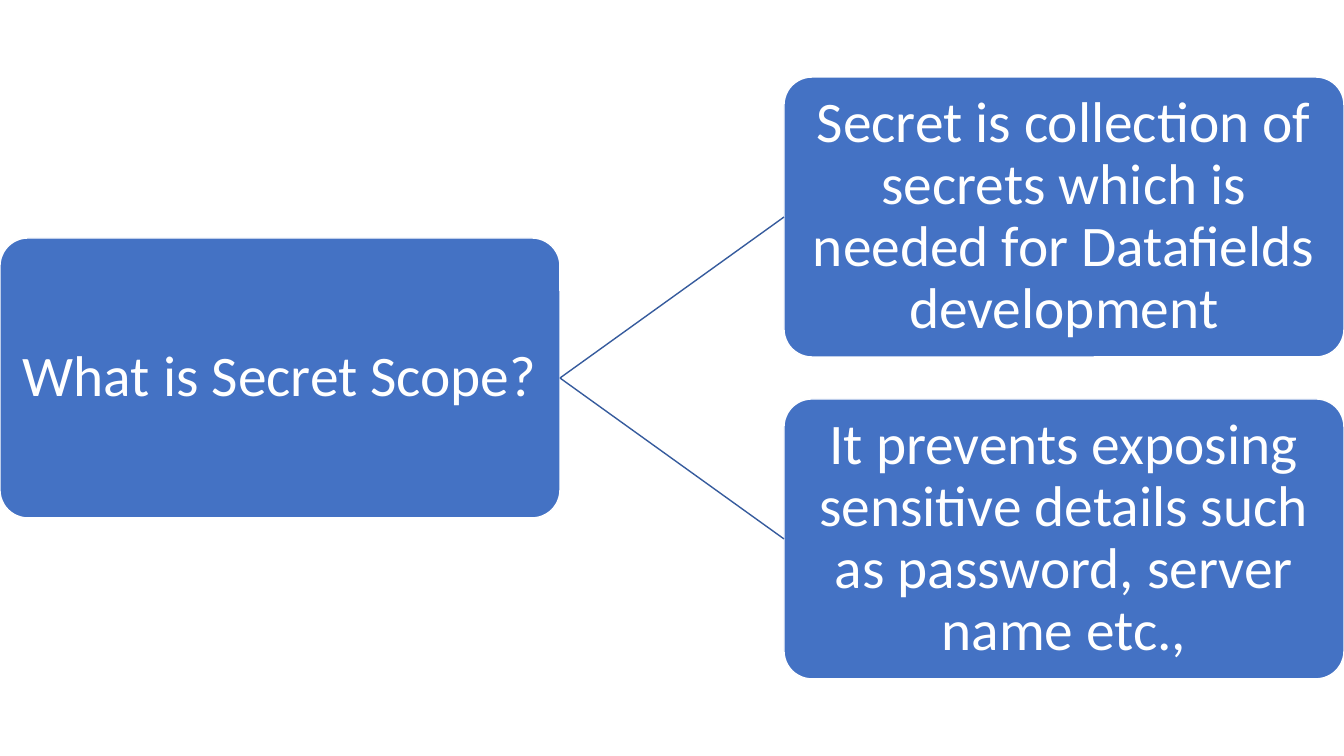
from dataclasses import dataclass

from lxml.etree import SubElement
from pptx import Presentation
from pptx.dml.color import RGBColor
from pptx.enum.shapes import MSO_CONNECTOR as Connector, MSO_SHAPE as Shape
from pptx.enum.text import MSO_ANCHOR as Anchor, PP_ALIGN as Align
from pptx.oxml.ns import qn
from pptx.shapes.autoshape import Shape as AutoShape
from pptx.slide import Slide
from pptx.util import Inches, Pt

SLIDE_WIDTH = Inches(13.33)
SLIDE_HEIGHT = Inches(7.5)
BOX_WIDTH = SLIDE_WIDTH / 2.4
BOX_HEIGHT = BOX_WIDTH / 2
COLUMN_STEP = 1.4 * BOX_WIDTH
ROW_STEP = 1.15 * BOX_HEIGHT
TEXT_INSET = Inches(0.03)

BLUE = "4472C4"
DARK_BLUE = "365B9D"
WHITE = "FFFFFF"


@dataclass(frozen=True)
class Box:
    text: str
    column: int
    row: float


QUESTION = Box("What is Secret Scope?", 0, 0)
ANSWERS = [
    Box("Secret is collection of secrets which is needed for Datafields development", 1, -0.5),
    Box("It prevents exposing sensitive details such as password, server name etc.,", 1, 0.5),
]


def color(value: str) -> RGBColor:
    return RGBColor.from_string(value)


def draw_box(slide: Slide, box: Box) -> AutoShape:
    left = box.column * COLUMN_STEP
    top = (SLIDE_HEIGHT - BOX_HEIGHT) / 2 + box.row * ROW_STEP
    shape = slide.shapes.add_shape(
        Shape.ROUNDED_RECTANGLE, round(left), round(top), round(BOX_WIDTH), round(BOX_HEIGHT)
    )
    shape.adjustments[0] = 0.1
    shape.shadow.inherit = False
    shape.fill.solid()
    shape.fill.fore_color.rgb = color(BLUE)
    shape.line.color.rgb = color(WHITE)
    shape.line.width = Pt(1)

    frame = shape.text_frame
    frame.word_wrap = True
    frame.vertical_anchor = Anchor.MIDDLE
    frame.margin_left = frame.margin_right = TEXT_INSET
    frame.margin_top = frame.margin_bottom = TEXT_INSET
    paragraph = frame.paragraphs[0]
    paragraph.text = box.text
    paragraph.alignment = Align.CENTER
    paragraph.line_spacing = 0.9
    paragraph.font.name = "Calibri"
    paragraph.font.size = Pt(41)
    paragraph.font.color.rgb = color(WHITE)
    return shape


def draw_link(slide: Slide, start: AutoShape, end: AutoShape) -> None:
    link = slide.shapes.add_connector(Connector.STRAIGHT, 0, 0, 0, 0)
    link.begin_connect(start, 3)
    link.end_connect(end, 1)
    link.line.color.rgb = color(DARK_BLUE)
    link.line.width = Pt(1)
    SubElement(link._element.spPr, qn("a:effectLst"))


def main() -> None:
    presentation = Presentation()
    presentation.slide_width = SLIDE_WIDTH
    presentation.slide_height = SLIDE_HEIGHT
    slide = presentation.slides.add_slide(presentation.slide_layouts[6])

    question = draw_box(slide, QUESTION)
    for answer in ANSWERS:
        draw_link(slide, question, draw_box(slide, answer))

    presentation.save("out.pptx")


if __name__ == "__main__":
    main()
